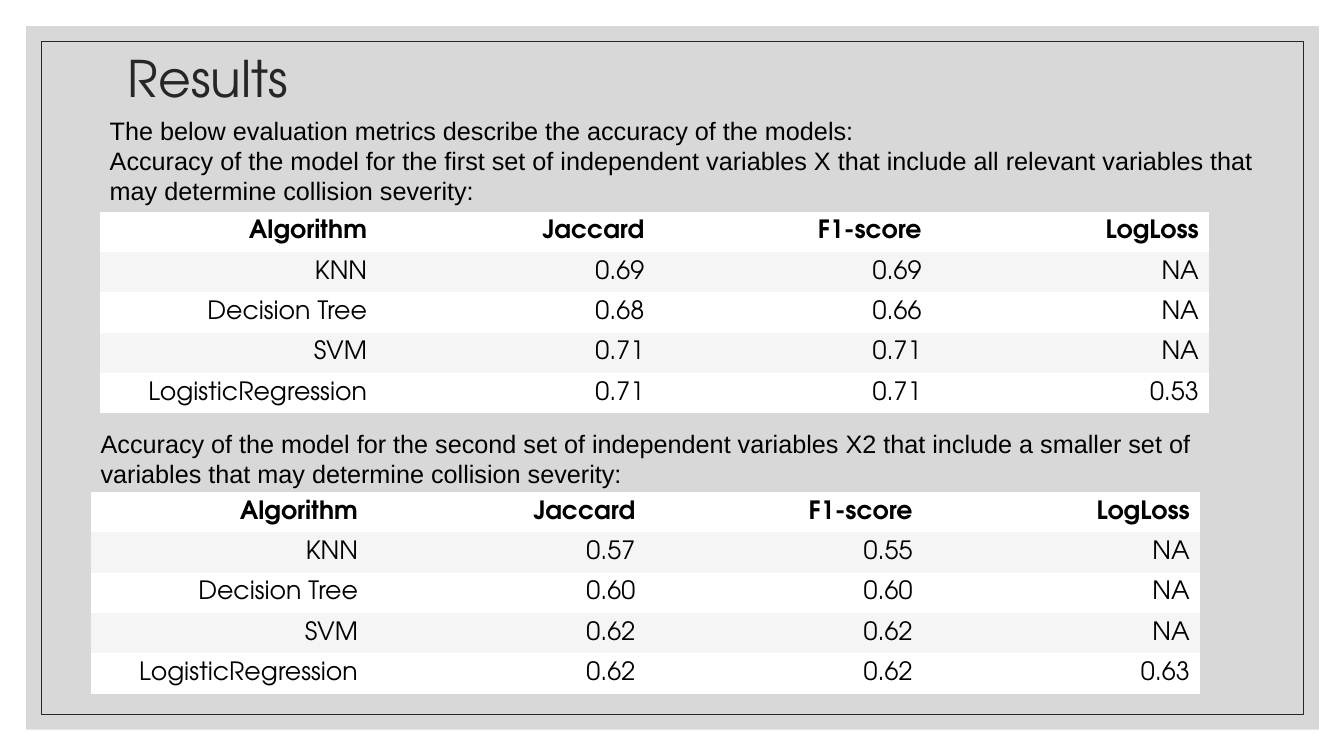
from lxml.etree import SubElement
from pptx import Presentation
from pptx.dml.color import RGBColor
from pptx.enum.shapes import MSO_SHAPE
from pptx.enum.text import MSO_ANCHOR, PP_ALIGN
from pptx.oxml.ns import qn
from pptx.util import Inches, Pt


def color(code):
    return RGBColor.from_string(code)


def write(para, text, face, size=18, code="000000", bold=False):
    run = para.add_run()
    run.text = text
    run.font.name = face
    run.font.size = Pt(size)
    run.font.bold = bold
    run.font.color.rgb = color(code)


sans = "Arial"
round_face = "TeX Gyre Adventor"

deck = Presentation()
deck.slide_width = Inches(13.33)
deck.slide_height = Inches(7.5)
slide = deck.slides.add_slide(deck.slide_layouts[6])
shapes = slide.shapes

panel = shapes.add_shape(
    MSO_SHAPE.RECTANGLE, Inches(0.26), Inches(0.26), Inches(12.82), Inches(6.98))
panel.shadow.inherit = False
panel.fill.solid()
panel.fill.fore_color.rgb = color("BFBFBF")
panel.line.fill.background()
tint = panel.fill._xPr.find(qn("a:solidFill"))[0]
SubElement(tint, qn("a:alpha"), val="60000")

frame = shapes.add_shape(
    MSO_SHAPE.RECTANGLE, Inches(0.41), Inches(0.41), Inches(12.52), Inches(6.68))
frame.shadow.inherit = False
frame.fill.background()
frame.line.color.rgb = color("262626")
frame.line.width = Pt(0.5)

title = shapes.add_textbox(Inches(1.17), Inches(0.53), Inches(11), Inches(0.56))
title.text_frame.word_wrap = True
title.text_frame.vertical_anchor = MSO_ANCHOR.MIDDLE
head = title.text_frame.paragraphs[0]
head.line_spacing = 0.9
write(head, "Results", round_face, 36, "262626")

notes = [
    (0.99, 1.09, 1.01, [
        "The below evaluation metrics describe the accuracy of the models:",
        "Accuracy of the model for the first set of independent variables X "
        "that include all relevant variables that may determine collision severity:"]),
    (0.9, 4.2, 0.71, [
        "Accuracy of the model for the second set of independent variables X2 "
        "that include a smaller set of variables that may determine collision severity:"]),
]
for left, top, height, lines in notes:
    box = shapes.add_textbox(Inches(left), Inches(top), Inches(11.9), Inches(height))
    body = box.text_frame
    body.word_wrap = True
    for i, line in enumerate(lines):
        para = body.add_paragraph() if i else body.paragraphs[0]
        write(para, line, sans)

names = ["Algorithm", "Jaccard", "F1-score", "LogLoss"]
scores = [
    (0.99, 2.1, [
        ["KNN", "0.69", "0.69", "NA"],
        ["Decision Tree", "0.68", "0.66", "NA"],
        ["SVM", "0.71", "0.71", "NA"],
        ["LogisticRegression", "0.71", "0.71", "0.53"]]),
    (0.9, 4.88, [
        ["KNN", "0.57", "0.55", "NA"],
        ["Decision Tree", "0.60", "0.60", "NA"],
        ["SVM", "0.62", "0.62", "NA"],
        ["LogisticRegression", "0.62", "0.62", "0.63"]]),
]
for left, top, data in scores:
    rows = [names] + data
    table = shapes.add_table(
        len(rows), len(names), Inches(left), Inches(top), Inches(11), Inches(2)).table
    for r, row in enumerate(rows):
        for c, text in enumerate(row):
            cell = table.cell(r, c)
            cell.fill.solid()
            cell.fill.fore_color.rgb = color("F5F5F5" if r % 2 else "FFFFFF")
            cell.vertical_anchor = MSO_ANCHOR.MIDDLE
            for side in ("a:lnL", "a:lnR", "a:lnT", "a:lnB"):
                edge = cell._tc.tcPr.makeelement(qn(side), {"w": "0"})
                SubElement(edge, qn("a:noFill"))
                cell._tc.tcPr.insert_element_before(edge, "a:solidFill")
            para = cell.text_frame.paragraphs[0]
            para.alignment = PP_ALIGN.RIGHT
            write(para, text, round_face, bold=r == 0)

deck.save("out.pptx")
